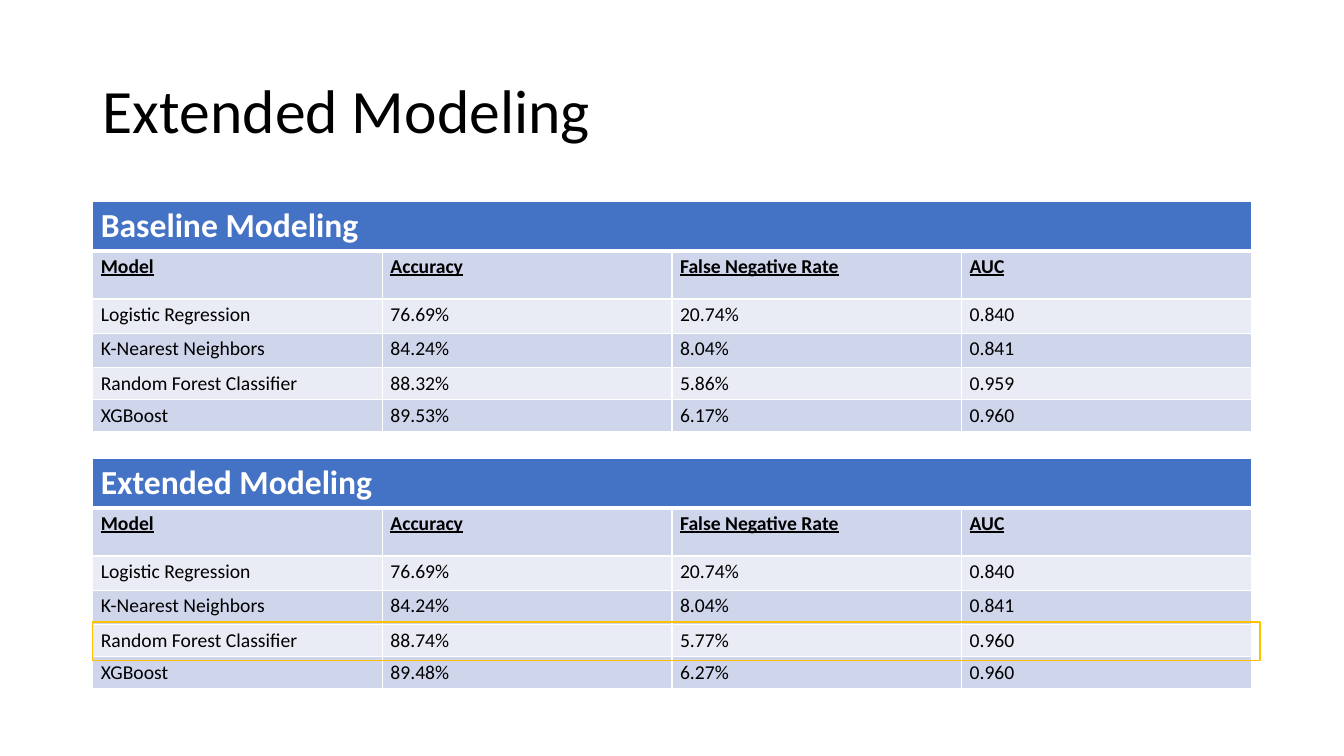
import lxml.etree
import pptx
import pptx.dml.color
import pptx.enum.shapes
import pptx.enum.text
import pptx.oxml.ns
import pptx.util

BASELINE = [
    ["Logistic Regression", "76.69%", "20.74%", "0.840"],
    ["K-Nearest Neighbors", "84.24%", "8.04%", "0.841"],
    ["Random Forest Classifier", "88.32%", "5.86%", "0.959"],
    ["XGBoost", "89.53%", "6.17%", "0.960"],
]
EXTENDED = BASELINE[:2] + [
    ["Random Forest Classifier", "88.74%", "5.77%", "0.960"],
    ["XGBoost", "89.48%", "6.27%", "0.960"],
]
HEADINGS = ["Model", "Accuracy", "False Negative Rate", "AUC"]
ROW_HEIGHTS = [9.6, 9.6, 6.8, 6.8, 6.2, 5.4]


def rgb(value):
    return pptx.dml.color.RGBColor.from_string(value)


class Deck:
    """Slide builder on a grid of 4 columns between margins and 150 rows."""

    FONT = "Calibri"
    INK, WHITE, BLUE, GOLD = "000000", "FFFFFF", "4472C4", "FFC000"
    BANDS = ["E9EBF5", "CFD5EA"]
    MARGIN = pptx.util.Inches(0.92)

    def __init__(self):
        self.prs = pptx.Presentation()
        self.prs.slide_width = pptx.util.Inches(13.33)
        self.prs.slide_height = pptx.util.Inches(7.5)
        self.col = (self.prs.slide_width - 2 * self.MARGIN) / 4
        self.row = self.prs.slide_height / 150
        self.s = self.prs.slides.add_slide(self.prs.slide_layouts[5])

    def box(self, col, row, cols, rows):
        return (int(self.MARGIN + col * self.col), int(row * self.row),
                int(cols * self.col), int(rows * self.row))

    def style(self, p, size, color, bold=False, underline=False):
        for r in p.runs:
            r.font.name, r.font.size = self.FONT, pptx.util.Pt(size)
            r.font.bold, r.font.underline = bold, underline
            r.font.color.rgb = rgb(color)

    def title(self, text, *place):
        sp = self.s.shapes.title
        sp.left, sp.top, sp.width, sp.height = self.box(*place)
        tf = sp.text_frame
        tf.text = text
        tf.word_wrap = True
        tf.vertical_anchor = pptx.enum.text.MSO_ANCHOR.MIDDLE
        p = tf.paragraphs[0]
        p.alignment = pptx.enum.text.PP_ALIGN.LEFT
        p.line_spacing = 0.9
        self.style(p, 44, self.INK)

    def borders(self, cell, top, bottom):
        tc_pr = cell._tc.get_or_add_tcPr()
        widths = {"lnL": 1, "lnR": 1, "lnT": top, "lnB": bottom}
        for i, (side, width) in enumerate(widths.items()):
            ln = lxml.etree.Element(pptx.oxml.ns.qn(f"a:{side}"), w=str(pptx.util.Pt(width)))
            fill = lxml.etree.SubElement(ln, pptx.oxml.ns.qn("a:solidFill"))
            lxml.etree.SubElement(fill, pptx.oxml.ns.qn("a:srgbClr"), val=self.WHITE)
            tc_pr.insert(i, ln)

    def table(self, name, records, row):
        grid = [[name, "", "", ""], HEADINGS] + records
        place = self.box(0, row, 4, sum(ROW_HEIGHTS))
        table = self.s.shapes.add_table(len(grid), 4, *place).table
        for i, values in enumerate(grid):
            table.rows[i].height = int(ROW_HEIGHTS[i] * self.row)
            for j, value in enumerate(values):
                cell = table.cell(i, j)
                cell.margin_left = cell.margin_right = pptx.util.Inches(0.08)
                cell.margin_top = cell.margin_bottom = pptx.util.Inches(0.04)
                cell.fill.solid()
                cell.fill.fore_color.rgb = rgb(self.BANDS[i % 2] if i else self.BLUE)
                self.borders(cell, 3 if i == 1 else 1, 3 if i == 0 else 1)
                cell.text_frame.text = value
                self.style(cell.text_frame.paragraphs[0], 14 if i else 24,
                           self.INK if i else self.WHITE, i < 2, i == 1)
        table.cell(0, 0).merge(table.cell(0, 3))

    def highlight(self, *place):
        sp = self.s.shapes.add_shape(pptx.enum.shapes.MSO_SHAPE.RECTANGLE, *self.box(*place))
        sp.shadow.inherit = False
        sp.fill.background()
        sp.line.color.rgb = rgb(self.GOLD)
        sp.line.width = pptx.util.Pt(1)


def main():
    deck = Deck()
    deck.title("Extended Modeling", 0, 8, 4, 29)
    deck.table("Baseline Modeling", BASELINE, 40)
    deck.table("Extended Modeling", EXTENDED, 91)
    deck.highlight(0, 123.4, 4.03, 7.6)
    deck.prs.save("out.pptx")


if __name__ == "__main__":
    main()
